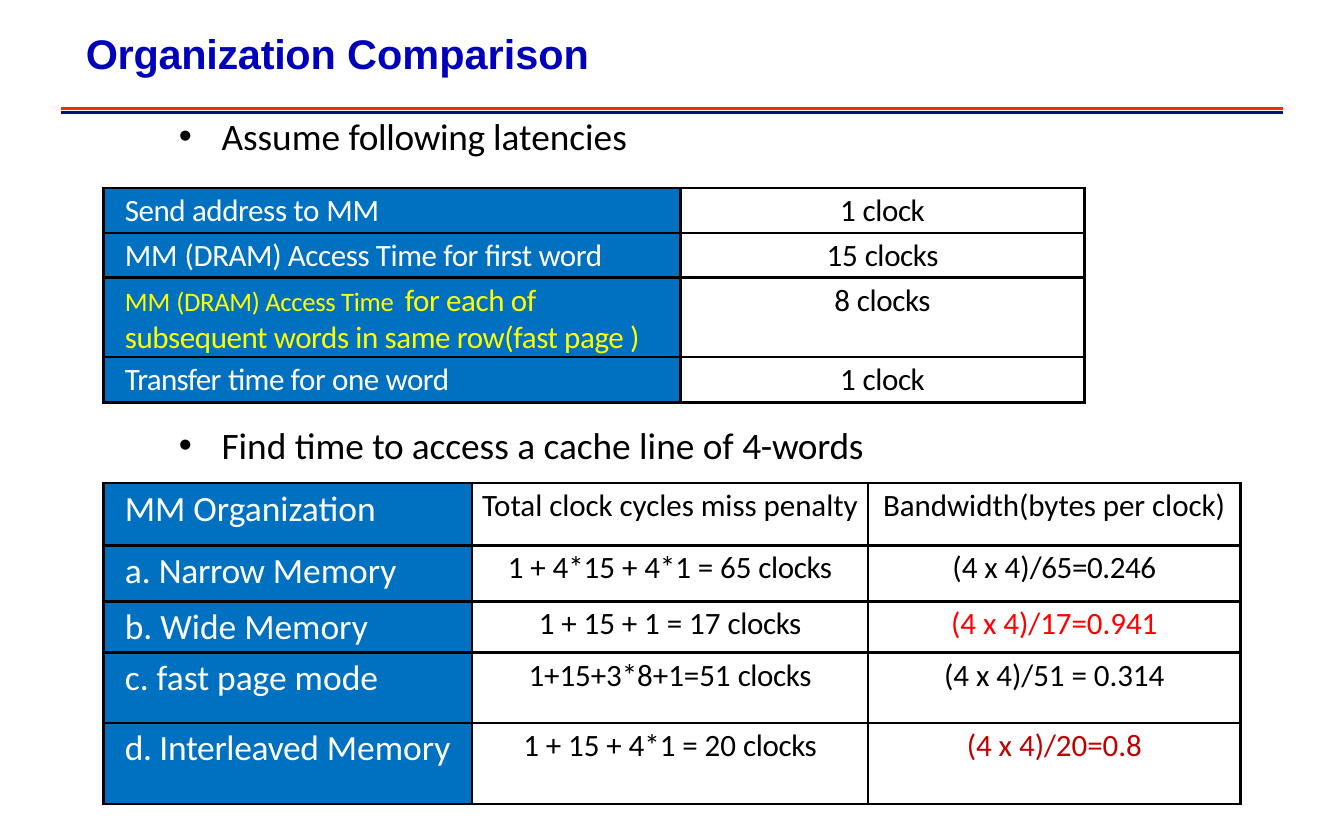
from lxml.etree import SubElement
from pptx import Presentation
from pptx.dml.color import RGBColor
from pptx.enum.shapes import MSO_CONNECTOR
from pptx.enum.text import MSO_ANCHOR, MSO_AUTO_SIZE, PP_ALIGN
from pptx.oxml.ns import qn
from pptx.util import Pt

BLACK = RGBColor(0x00, 0x00, 0x00)
WHITE = RGBColor(0xFF, 0xFF, 0xFF)
TITLE_BLUE = RGBColor(0x00, 0x00, 0xBA)
RULE_RED = RGBColor(0xFF, 0x26, 0x00)
RULE_NAVY = RGBColor(0x01, 0x12, 0x79)
LABEL_BLUE = RGBColor(0x00, 0x70, 0xC0)
YELLOW = RGBColor(0xFF, 0xFF, 0x00)
RED = RGBColor(0xFF, 0x00, 0x00)
DARK_RED = RGBColor(0xC0, 0x00, 0x00)

TIGHT = -0.1  # letter spacing in points

# Each cell is a list of runs (text, letter spacing, size) and may end a row
# with its own colour in the colour tables below.
LATENCIES = [
    [[("Send address to ", TIGHT), ("MM",)], [("1 ",), ("clock", TIGHT)]],
    [[("MM ",), ("(DRAM) Access Time for first word", TIGHT)],
     [("15 ",), ("clocks", TIGHT)]],
    [[("MM ", 0, 9), ("(DRAM) Access Time  ", TIGHT, 9),
      ("for each of subsequent words in same row(fast page )", TIGHT)],
     [("8 ",), ("clocks", TIGHT)]],
    [[("Transfer ", 2 * TIGHT), ("time for one word", TIGHT)],
     [("1 ",), ("clock", TIGHT)]],
]
LATENCY_COLORS = {(2, 0): YELLOW}

ORGANIZATIONS = [
    [[("MM Organization",)], [("Total clock cycles miss penalty",)],
     [("Bandwidth(bytes per clock)",)]],
    [[("a. ",), ("Narrow ", TIGHT), ("Memory",)],
     [("1 + 4*15 + 4*1 = 65",), (" clocks", TIGHT)],
     [("(4 x 4)",), ("/65=0.246", TIGHT)]],
    [[("b. Wide ",), ("Memory",)],
     [("1 + 15 + 1 = 17 ",), ("clocks", TIGHT)], [("(4 x 4)/17=0.941",)]],
    [[("c. fast page mode",)],
     [("1+15+3*8+1=51 ",), ("clocks", TIGHT)], [("(4 x 4)/51 = 0.314",)]],
    [[("d. Interleaved ", TIGHT), ("Memory",)],
     [("1 + 15 + 4*1 = 20 ",), ("clocks", TIGHT)], [("(4 x 4)/20=0.8",)]],
]
ORGANIZATION_COLORS = {(2, 2): RED, (4, 2): DARK_RED}


def write_text(frame, runs, size=10.5, color=BLACK, font="Calibri", bold=False,
               align=PP_ALIGN.LEFT, before=2.5):
    """Write one paragraph made of (text, letter spacing, size) runs."""
    paragraph = frame.paragraphs[0]
    paragraph.alignment = align
    paragraph.space_before = Pt(before)
    for text, *options in runs:
        spacing, run_size = (options + [0, size][len(options):])
        run = paragraph.add_run()
        run.text = text
        run.font.name = font
        run.font.size = Pt(run_size)
        run.font.bold = bold
        run.font.color.rgb = color
        run.font._element.set("spc", str(round(spacing * 100)))
    return paragraph


def place_placeholder(placeholder, left, top, width, height, anchor):
    placeholder.left, placeholder.top = Pt(left), Pt(top)
    placeholder.width, placeholder.height = Pt(width), Pt(height)
    frame = placeholder.text_frame
    frame.margin_left = frame.margin_right = frame.margin_bottom = 0
    frame.margin_top = Pt(0.9)
    frame.word_wrap = True
    frame.auto_size = MSO_AUTO_SIZE.NONE
    frame.vertical_anchor = anchor
    return frame


def add_heading(slide, left, top, width, height):
    """Title with a red and a navy rule below it."""
    frame = place_placeholder(slide.shapes.title, left + 8.4, top, 287, 17.3,
                              MSO_ANCHOR.MIDDLE)
    write_text(frame, [("Organization ", TIGHT), ("Comparison",)], size=14,
               color=TITLE_BLUE, font="Arial", bold=True, before=0.6)
    bottom = top + height
    for y, color in ((bottom - 1.5, RULE_RED), (bottom, RULE_NAVY)):
        rule = slide.shapes.add_connector(
            MSO_CONNECTOR.STRAIGHT, Pt(left), Pt(y), Pt(left + width), Pt(y))
        rule.line.color.rgb = color
        rule.line.width = Pt(1)
        SubElement(rule._element.spPr, qn("a:effectLst"))


def add_bullet(placeholder, left, top, width, height, runs):
    frame = place_placeholder(placeholder, left, top, width, height, MSO_ANCHOR.TOP)
    paragraph = write_text(frame, runs, size=12.6, before=0.5)
    properties = paragraph._p.get_or_add_pPr()
    properties.set("marL", str(Pt(14.4)))
    properties.set("indent", str(Pt(-14.4)))
    SubElement(properties, qn("a:buChar"), char="•")


def set_borders(cell):
    properties = cell._tc.get_or_add_tcPr()
    for position, side in enumerate(("lnL", "lnR", "lnT", "lnB")):
        line = SubElement(properties, qn(f"a:{side}"), w=str(Pt(1)))
        fill = SubElement(line, qn("a:solidFill"))
        SubElement(fill, qn("a:srgbClr"), val=str(BLACK))
        properties.insert(position, line)


def add_grid(slide, left, top, columns, rows, content, colors, label_size):
    """Table with a blue label column and centred values."""
    frame = slide.shapes.add_table(len(rows), len(columns), Pt(left), Pt(top),
                                   Pt(sum(columns)), Pt(sum(rows)))
    table = frame.table
    table.first_row = table.horz_banding = False
    for column, width in zip(table.columns, columns):
        column.width = Pt(width)
    for r, (row, height) in enumerate(zip(table.rows, rows)):
        row.height = Pt(height)
        for c, cell in enumerate(row.cells):
            label = c == 0
            cell.margin_left = Pt(7.2) if label else 0
            cell.margin_right = cell.margin_bottom = 0
            cell.margin_top = Pt(1.4)
            cell.fill.solid()
            cell.fill.fore_color.rgb = LABEL_BLUE if label else WHITE
            set_borders(cell)
            write_text(cell.text_frame, content[r][c],
                       size=label_size if label else 10.5,
                       color=colors.get((r, c), WHITE if label else BLACK),
                       align=PP_ALIGN.LEFT if label else PP_ALIGN.CENTER)


def build_comparison(slide, width):
    first_list, second_list = list(slide.placeholders)[1:3]
    add_heading(slide, 20.6, 8.9, width - 41.3, 29.2)
    # Latencies
    add_bullet(first_list, 60.5, 37.4, 153.5, 16,
               [("Assume ",), ("following ", TIGHT), ("latencies",)])
    add_grid(slide, 35, 63.5, [195, 136.6], [15.3, 15.1, 26.6, 15.4],
             LATENCIES, LATENCY_COLORS, label_size=10.5)
    # Access time per organization
    add_bullet(second_list, 60.5, 141.8, 233, 16,
               [("Find time ",), ("to ", TIGHT), ("access a cache line of ",),
                ("4-words", TIGHT)])
    add_grid(slide, 35, 163.4, [124.6, 133.8, 126], [21, 19, 17.3, 23.8, 27.5],
             ORGANIZATIONS, ORGANIZATION_COLORS, label_size=12)


def main():
    presentation = Presentation()
    presentation.slide_width, presentation.slide_height = Pt(454.3), Pt(283.7)
    slide = presentation.slides.add_slide(presentation.slide_layouts[3])
    build_comparison(slide, 454.3)
    presentation.save("out.pptx")


if __name__ == "__main__":
    main()
